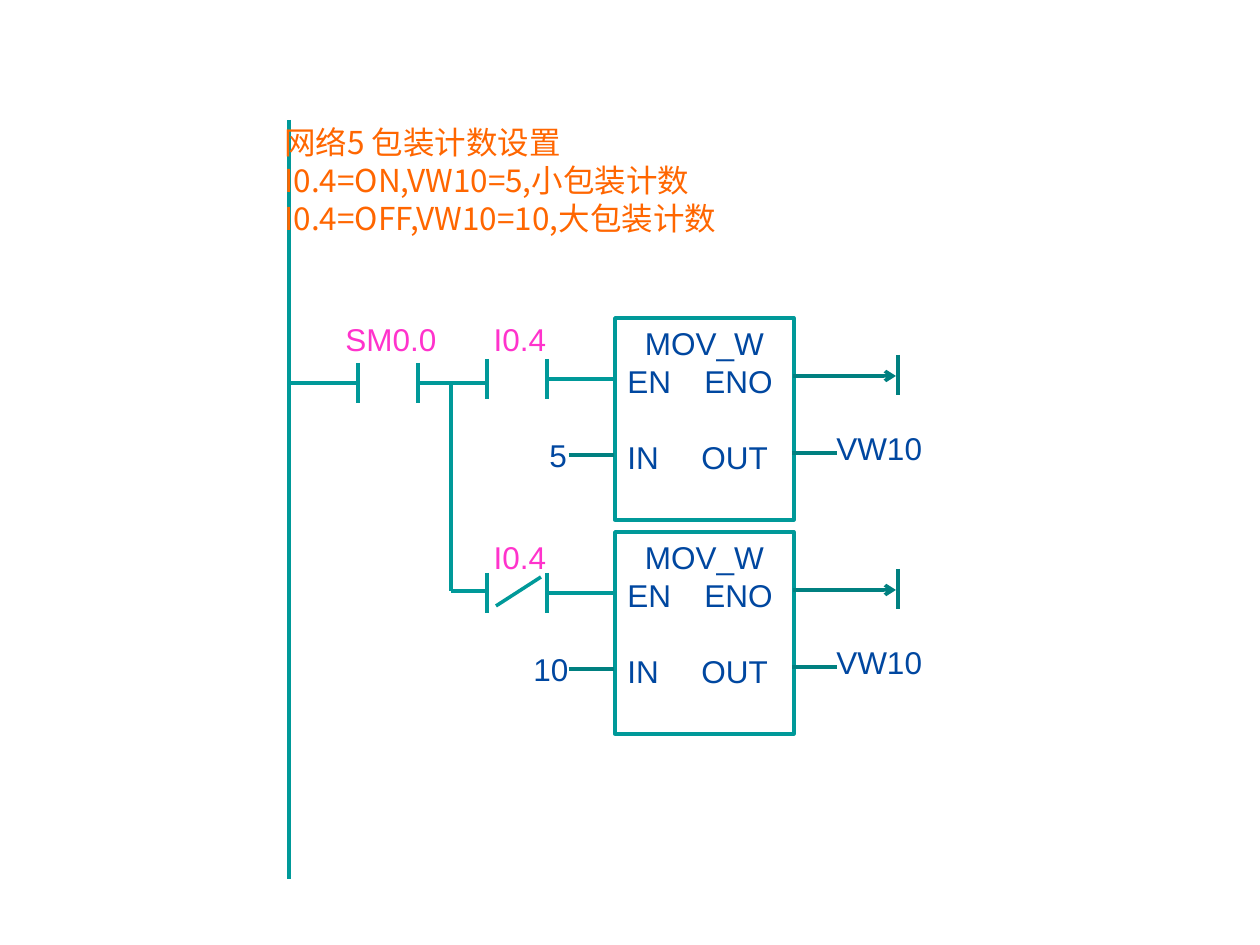
from lxml import etree
from pptx import Presentation
from pptx.dml.color import RGBColor
from pptx.enum.shapes import MSO_CONNECTOR, MSO_SHAPE
from pptx.enum.text import MSO_ANCHOR, PP_ALIGN
from pptx.oxml.ns import qn
from pptx.util import Pt

PX = 914400 // 126
STRAIGHT = MSO_CONNECTOR.STRAIGHT
RECTANGLE = MSO_SHAPE.RECTANGLE
TOP = MSO_ANCHOR.TOP
LEFT, CENTER = PP_ALIGN.LEFT, PP_ALIGN.CENTER
TEAL, DARK_TEAL = "009999", "008080"
PINK, ORANGE, BLUE = "FF33CC", "FF6600", "0047A0"
RUNG_PITCH = 214

presentation = Presentation()
presentation.slide_width = 1260 * PX
presentation.slide_height = 945 * PX
slide = presentation.slides.add_slide(presentation.slide_layouts[6])


def add_line(x1, y1, x2, y2, color=TEAL):
    line = slide.shapes.add_connector(STRAIGHT, x1 * PX, y1 * PX, x2 * PX, y2 * PX)
    line.line.color.rgb = RGBColor.from_string(color)
    line.line.width = Pt(2)
    etree.SubElement(line._element.spPr, qn("a:effectLst"))
    return line


def write_lines(shape, lines, color, align=LEFT, font="Arial"):
    frame = shape.text_frame
    frame.word_wrap = True
    frame.vertical_anchor = TOP
    frame.text = "\n".join(lines)
    for paragraph in frame.paragraphs:
        paragraph.alignment = align
        paragraph.line_spacing = Pt(21.6)
        paragraph.font.size = Pt(18)
        paragraph.font.name = font
        paragraph.font.color.rgb = RGBColor.from_string(color)
        east_asian = etree.SubElement(paragraph.font._element, qn("a:ea"))
        east_asian.set("typeface", font)


# Power rail and network comment
add_line(289, 120, 289, 879)
comment = slide.shapes.add_textbox(272 * PX, 117 * PX, 513 * PX, 126 * PX)
write_lines(comment, ["网络5 包装计数设置", "I0.4=ON,VW10=5,小包装计数",
                      "I0.4=OFF,VW10=10,大包装计数"], ORANGE, font="Noto Sans CJK SC")

# SM0.0 contact and the branch to the second rung
add_line(289, 383, 358, 383)
for x in (358, 418):
    add_line(x, 363, x, 403)
add_line(418, 383, 487, 383)
add_line(451, 383, 451, 591)
add_line(451, 591, 487, 591)

# Contact labels
for text, left, top in (("SM0.0", 312, 314), ("I0.4", 441, 314), ("I0.4", 441, 532)):
    label = slide.shapes.add_textbox(left * PX, top * PX, 158 * PX, 50 * PX)
    write_lines(label, [text], PINK, CENTER)

# One rung per packing size: I0.4 contact, MOV_W block, input and output
for rung, (value, value_left) in enumerate((("5", 537), ("10", 521))):
    y = rung * RUNG_PITCH
    for x in (487, 547):
        add_line(x, y + 359, x, y + 399)
    add_line(547, y + 379, 615, y + 379)

    block = slide.shapes.add_shape(RECTANGLE, 615 * PX, (y + 318) * PX, 179 * PX, 202 * PX)
    block.shadow.inherit = False
    block.fill.background()
    block.line.color.rgb = RGBColor.from_string(TEAL)
    block.line.width = Pt(2)
    write_lines(block, ["MOV_W", "EN\tENO", "IN\tOUT"], BLUE)
    name, enable, data = block.text_frame.paragraphs
    name.alignment = CENTER
    data.space_before = Pt(21.6)
    for paragraph, position in ((enable, 77), (data, 74)):
        properties = paragraph._p.get_or_add_pPr()
        tabs = etree.Element(qn("a:tabLst"))
        etree.SubElement(tabs, qn("a:tab"), pos=str(position * PX), algn="l")
        properties.find(qn("a:defRPr")).addprevious(tabs)

    # Enable output ends in an arrow and a bar
    arrow = add_line(793, y + 376, 896, y + 376, DARK_TEAL)
    etree.SubElement(arrow.line._get_or_add_ln(), qn("a:tailEnd"), type="arrow")
    add_line(898, y + 355, 898, y + 395, DARK_TEAL)

    # Data input and output
    add_line(569, y + 455, 614, y + 455, DARK_TEAL)
    add_line(792, y + 453, 837, y + 453, DARK_TEAL)
    for text, left, top, width in ((value, value_left, 430, 65), ("VW10", 824, 423, 125)):
        label = slide.shapes.add_textbox(left * PX, (y + top) * PX, width * PX, 50 * PX)
        write_lines(label, [text], BLUE)

# Slash of the normally closed contact
add_line(541, 577, 496, 606)

presentation.save("out.pptx")
